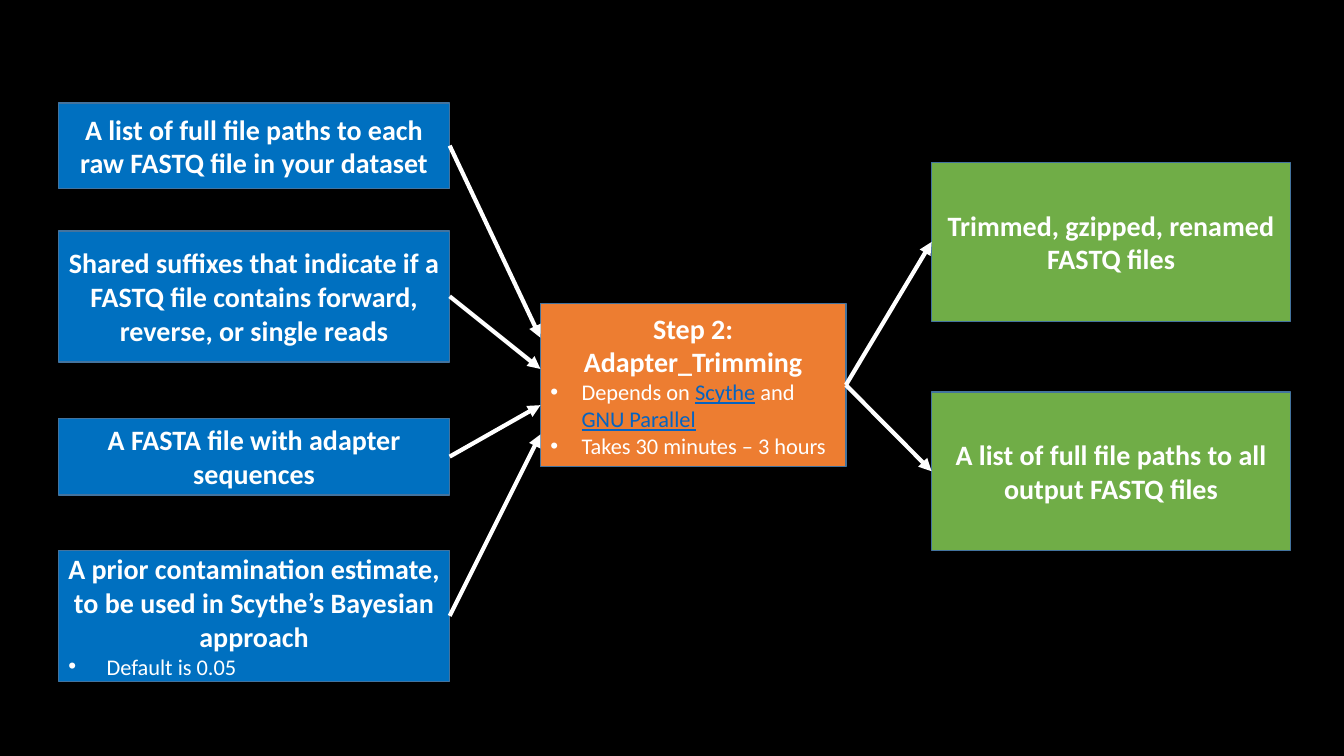
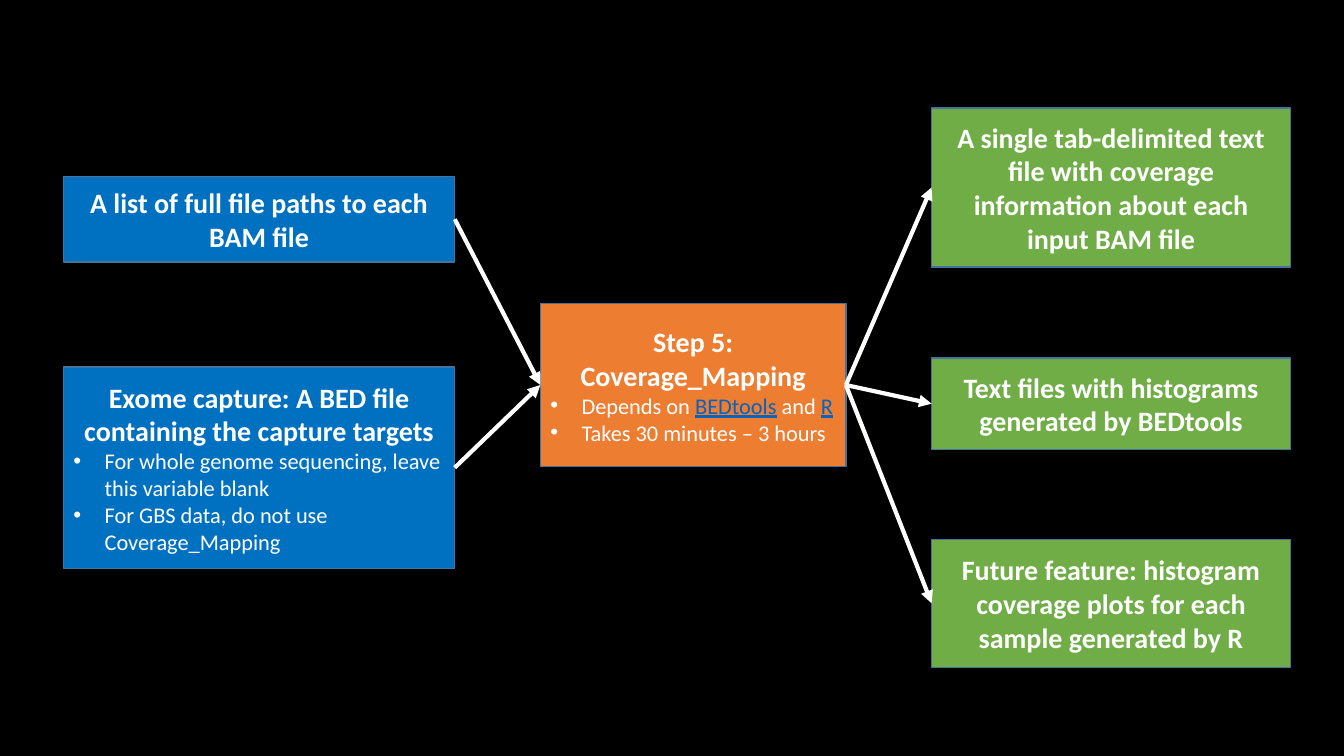
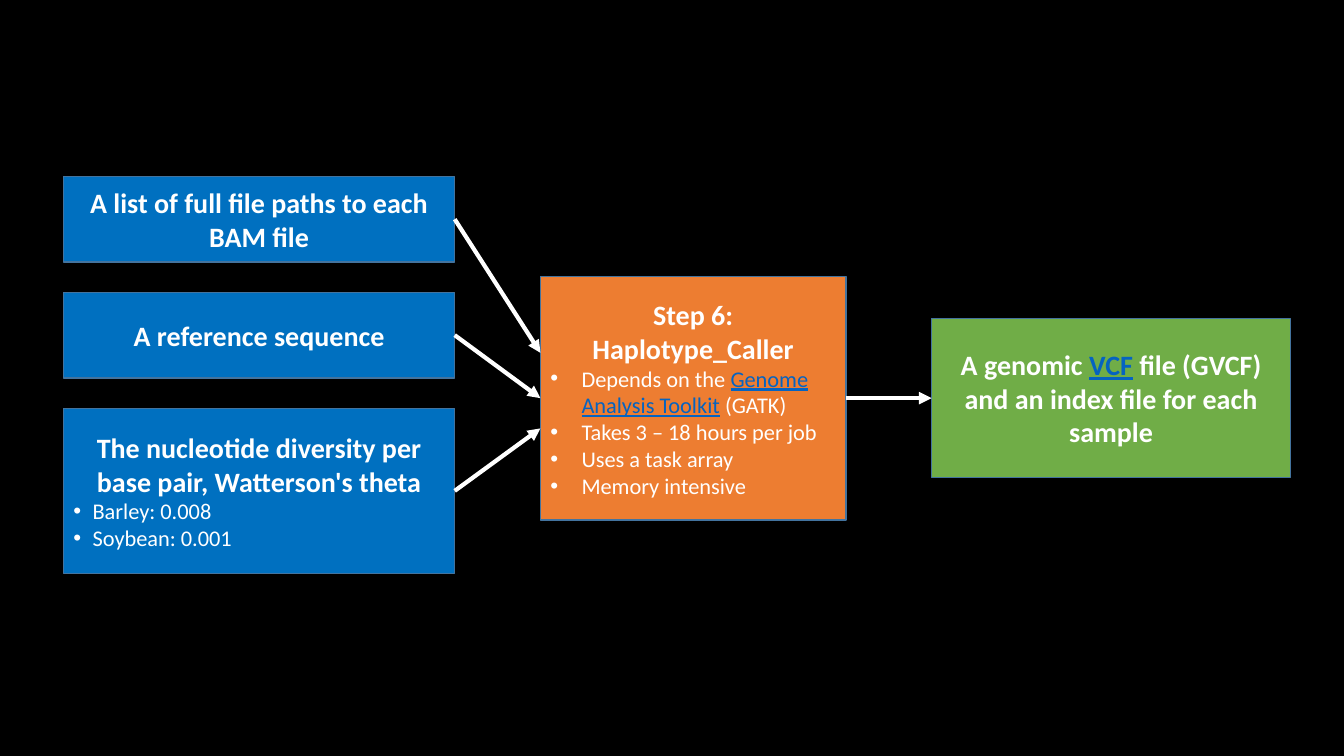
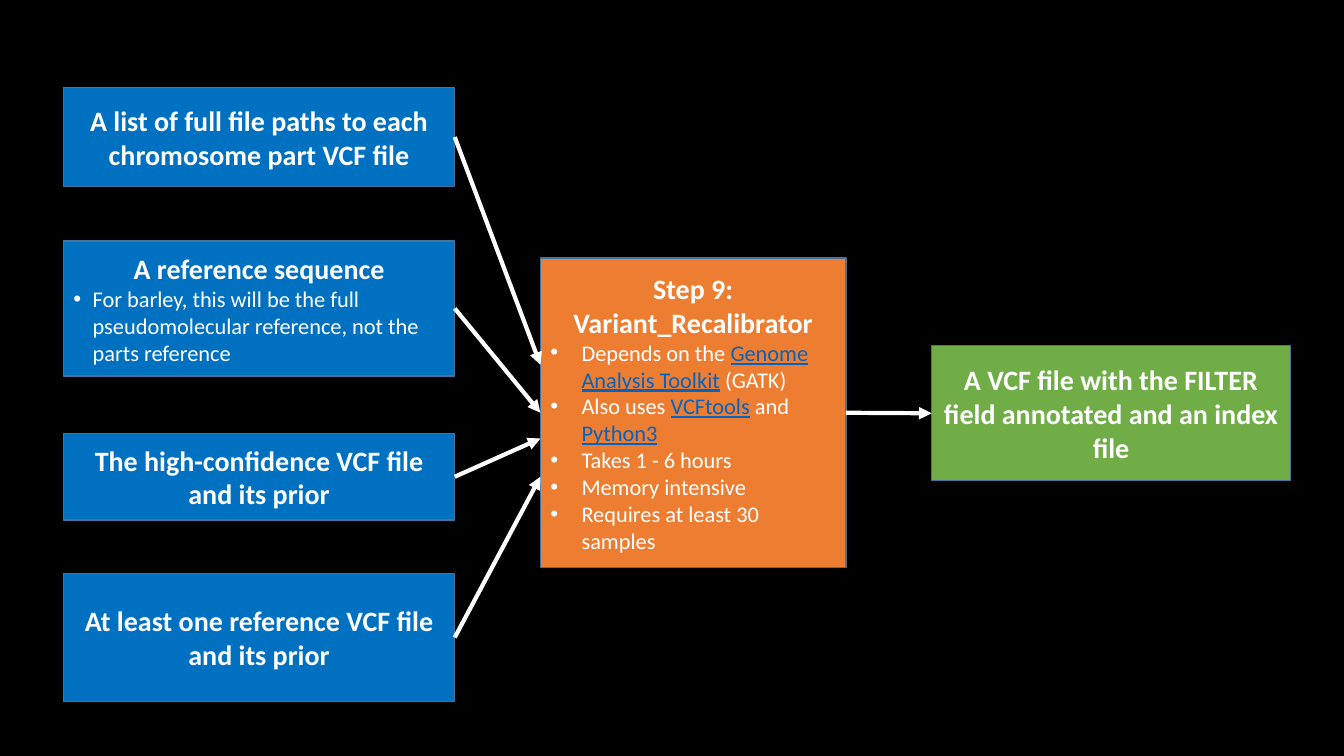
from dataclasses import dataclass

from lxml.etree import SubElement
from pptx import Presentation
from pptx.dml.color import RGBColor as Rgb
from pptx.enum.shapes import MSO_CONNECTOR as Connector, MSO_SHAPE as Shape
from pptx.enum.text import MSO_ANCHOR as Anchor, PP_ALIGN as Align
from pptx.oxml.ns import qn
from pptx.util import Pt

EMU_PER_PX = 9144
RIGHT_SIDE, LEFT_SIDE = 3, 1
INPUT_WIDTH = 388
STEP_LEFT, STEP_WIDTH = 536, 303
OUTPUT_LEFT, OUTPUT_WIDTH = 924, 356


def px(length):
    return length * EMU_PER_PX


@dataclass(frozen=True)
class Theme:
    font: str = "Calibri"
    bullet_font: str = "Arial"
    heading_size: int = 20
    bullet_size: int = 16
    outline_width: int = 1
    arrow_width: int = 3
    background: Rgb = Rgb.from_string("000000")
    text: Rgb = Rgb.from_string("FFFFFF")
    link: Rgb = Rgb.from_string("0563C1")
    outline: Rgb = Rgb.from_string("43739E")
    input_fill: Rgb = Rgb.from_string("0070C0")
    step_fill: Rgb = Rgb.from_string("ED7D31")
    output_fill: Rgb = Rgb.from_string("70AD47")


@dataclass(frozen=True)
class Card:
    top: int
    height: int
    heading: str
    bullets: tuple = ()
    indent: int = 31
    arrow_y: int | None = None


@dataclass(frozen=True)
class Flow:
    input_left: int
    inputs: tuple
    step: Card
    outputs: tuple


class FlowDeck:
    def __init__(self, theme):
        self.theme = theme
        self.deck = Presentation()
        self.deck.slide_width, self.deck.slide_height = px(1333), px(750)
        self.page = None

    def add_page(self):
        self.page = self.deck.slides.add_slide(self.deck.slide_layouts[6])
        fill = self.page.background.fill
        fill.solid()
        fill.fore_color.rgb = self.theme.background

    def add_spans(self, para, text, size, bold):
        for index, part in enumerate(text.split("|")):
            if not part:
                continue
            is_link = index % 2 == 1
            span = para.add_run()
            span.text = part
            font = span.font
            font.name, font.size, font.bold = self.theme.font, Pt(size), bold
            font.underline = is_link
            font.color.rgb = self.theme.link if is_link else self.theme.text

    def bullet(self, para, text, indent):
        para.alignment = Align.LEFT
        properties = para._p.get_or_add_pPr()
        properties.set("marL", str(px(indent)))
        properties.set("indent", str(-px(indent)))
        SubElement(properties, qn("a:buFont"), typeface=self.theme.bullet_font)
        SubElement(properties, qn("a:buChar"), char="•")
        self.add_spans(para, text, self.theme.bullet_size, False)

    def box(self, card, left, width, color):
        box = self.page.shapes.add_shape(
            Shape.RECTANGLE, px(left), px(card.top), px(width), px(card.height))
        box.shadow.inherit = False
        box.fill.solid()
        box.fill.fore_color.rgb = color
        box.line.color.rgb = self.theme.outline
        box.line.width = Pt(self.theme.outline_width)
        frame = box.text_frame
        frame.word_wrap = True
        frame.vertical_anchor = Anchor.MIDDLE
        heading = frame.paragraphs[0]
        heading.alignment = Align.CENTER
        self.add_spans(heading, card.heading, self.theme.heading_size, True)
        for text in card.bullets:
            self.bullet(frame.add_paragraph(), text, card.indent)
        return box

    def arrow(self, source, target, end_y=None):
        start_y = source.top + source.height // 2
        middle_y = target.top + target.height // 2
        arrow = self.page.shapes.add_connector(
            Connector.STRAIGHT, source.left + source.width, start_y,
            target.left, middle_y if end_y is None else px(end_y))
        arrow.begin_connect(source, RIGHT_SIDE)
        if end_y is None:
            arrow.end_connect(target, LEFT_SIDE)
        arrow.line.color.rgb = self.theme.text
        arrow.line.width = Pt(self.theme.arrow_width)
        SubElement(arrow.line._get_or_add_ln(), qn("a:tailEnd"), type="triangle")
        SubElement(arrow._element.spPr, qn("a:effectLst"))

    def flow(self, flow):
        self.add_page()
        step = self.box(flow.step, STEP_LEFT, STEP_WIDTH, self.theme.step_fill)
        for card in flow.outputs:
            output = self.box(card, OUTPUT_LEFT, OUTPUT_WIDTH, self.theme.output_fill)
            self.arrow(step, output)
        for card in flow.inputs:
            source = self.box(card, flow.input_left, INPUT_WIDTH, self.theme.input_fill)
            self.arrow(source, step, card.arrow_y)


BAM_LIST = "A list of full file paths to each BAM file"
TOOLKIT = "Depends on the |Genome Analysis Toolkit| (GATK)"

FLOWS = (
    Flow(
        58,
        (
            Card(102, 85, "A list of full file paths to each raw FASTQ file in your dataset",
                 arrow_y=335),
            Card(229, 130, "Shared suffixes that indicate if a FASTQ file contains forward, "
                 "reverse, or single reads", arrow_y=366),
            Card(415, 76, "A FASTA file with adapter sequences", arrow_y=402),
            Card(546, 130, "A prior contamination estimate, to be used in Scythe’s "
                 "Bayesian approach", ("Default is 0.05",), 38, 431),
        ),
        Card(301, 162, "Step 2: Adapter_Trimming",
             ("Depends on |Scythe| and |GNU Parallel|", "Takes 30 minutes – 3 hours")),
        (
            Card(161, 158, "Trimmed, gzipped, renamed FASTQ files"),
            Card(389, 157, "A list of full file paths to all output FASTQ files"),
        ),
    ),
    Flow(
        63,
        (
            Card(175, 85, BAM_LIST),
            Card(364, 200, "Exome capture: A BED file containing the capture targets",
                 ("For whole genome sequencing, leave this variable blank",
                  "For GBS data, do not use Coverage_Mapping")),
        ),
        Card(301, 162, "Step 5: Coverage_Mapping",
             ("Depends on |BEDtools| and |R|", "Takes 30 minutes – 3 hours")),
        (
            Card(107, 158, "A single tab-delimited text file with coverage information "
                 "about each input BAM file"),
            Card(355, 91, "Text files with histograms generated by BEDtools"),
            Card(535, 127, "Future feature: histogram coverage plots for each sample "
                 "generated by R"),
        ),
    ),
    Flow(
        63,
        (
            Card(175, 85, BAM_LIST, arrow_y=350),
            Card(290, 85, "A reference sequence"),
            Card(405, 164, "The nucleotide diversity per base pair, Watterson's theta",
                 ("Barley: 0.008", "Soybean: 0.001"), 19, 425),
        ),
        Card(274, 242, "Step 6: Haplotype_Caller",
             (TOOLKIT, "Takes 3 – 18 hours per job", "Uses a task array",
              "Memory intensive")),
        (
            Card(316, 158, "A genomic |VCF| file (GVCF) and an index file for each sample"),
        ),
    ),
    Flow(
        63,
        (
            Card(87, 98, "A list of full file paths to each chromosome part VCF file",
                 arrow_y=362),
            Card(239, 134, "A reference sequence",
                 ("For barley, this will be the full pseudomolecular reference, "
                  "not the parts reference",), 19),
            Card(430, 86, "The high-confidence VCF file and its prior", arrow_y=435),
            Card(569, 127, "At least one reference VCF file and its prior", arrow_y=473),
        ),
        Card(256, 307, "Step 9: Variant_Recalibrator",
             (TOOLKIT, "Also uses |VCFtools| and |Python3|", "Takes 1 - 6 hours",
              "Memory intensive", "Requires at least 30 samples")),
        (
            Card(343, 134, "A VCF file with the FILTER field annotated and an index file"),
        ),
    ),
)


def main():
    slides = FlowDeck(Theme())
    for flow in FLOWS:
        slides.flow(flow)
    slides.deck.save("out.pptx")


if __name__ == "__main__":
    main()
